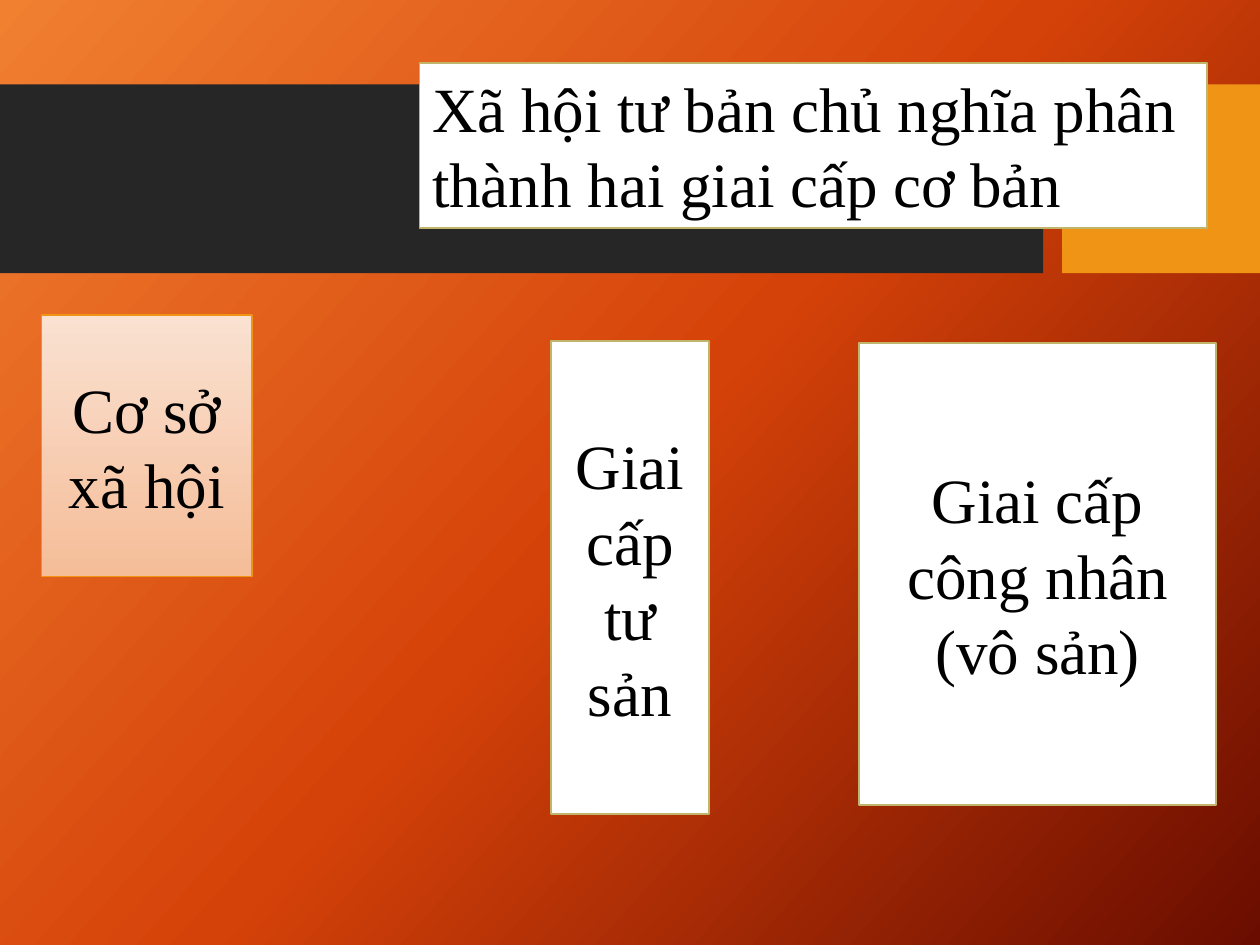
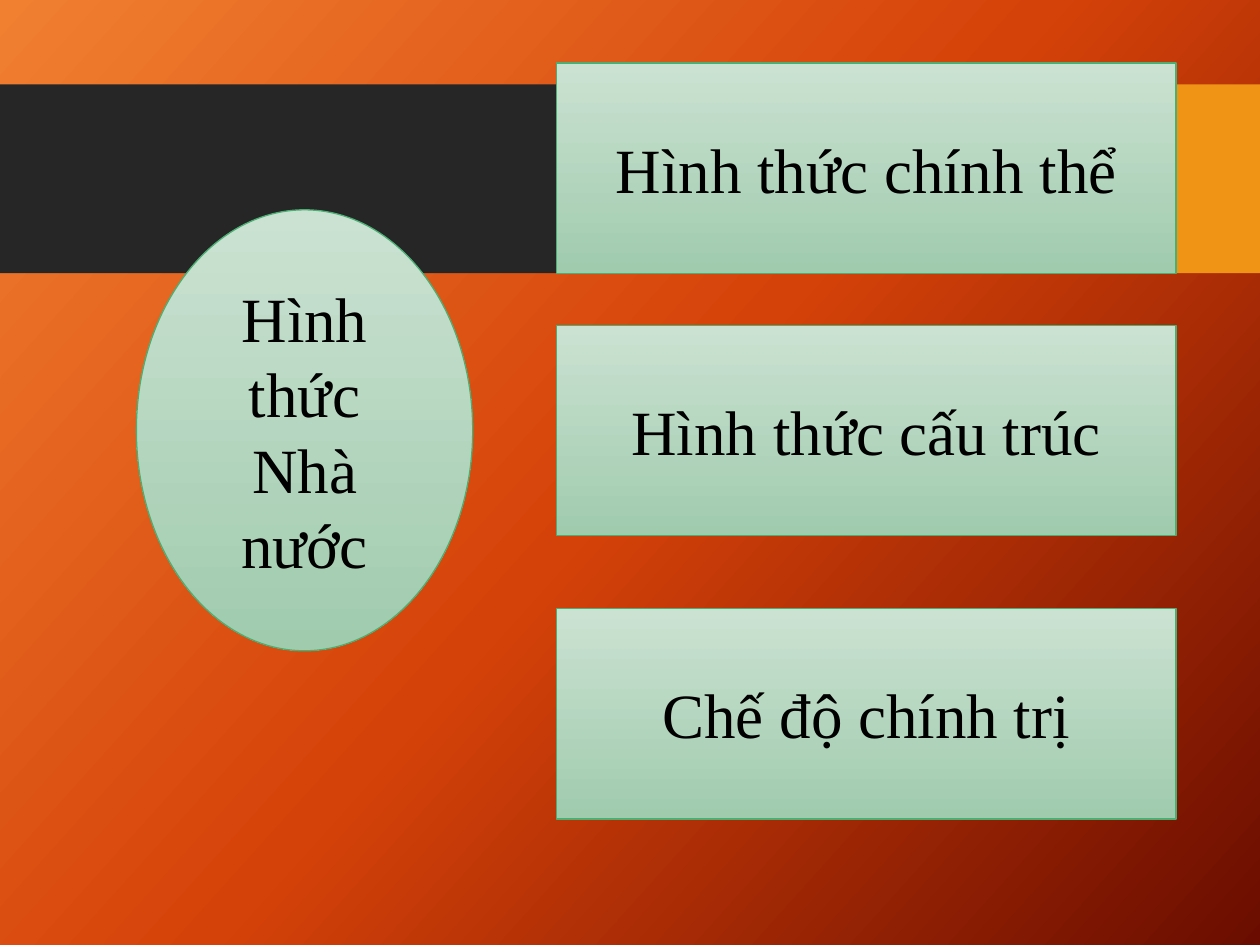
from collections import namedtuple
from copy import deepcopy

from pptx import Presentation
from pptx.dml.color import RGBColor
from pptx.enum.shapes import MSO_SHAPE as Preset
from pptx.enum.text import MSO_ANCHOR as Anchor, MSO_AUTO_SIZE as AutoSize, PP_ALIGN as Align
from pptx.oxml.ns import qn
from pptx.util import Cm, Pt

Box = namedtuple("Box", "left top width height")
Look = namedtuple("Look", "fills line weight")

PAGE = Box(0, 0, 25.4, 19.05)
BACKGROUND = ["F18031", "D54209", "6A0D00"]
DARK, ORANGE, BLACK = "262626", "F09415", "000000"
PEACH = Look(["FAE1D1", "F5BD98"], ORANGE, 0.75)
WHITE = Look(["FFFFFF"], "C1B56B", 1)
GREEN = Look(["CBE2D2", "A0CBAD"], "4BAF73", 0.75)
FONT, TEXT_SIZE = "Times New Roman", 36


def color(hex_code):
    return RGBColor.from_string(hex_code)


def inside(region, left, top, width, height):
    return Box(region.left + left, region.top + top, width, height)


def paint(owner, fill, colors, angle=90):
    if len(colors) == 1:
        fill.solid()
        fill.fore_color.rgb = color(colors[0])
        return
    fill.gradient()
    fill.gradient_angle = 360 - angle
    stop_list = next(owner.element.iter(qn("a:gsLst")))
    for _ in colors[2:]:
        stop_list.append(deepcopy(stop_list[0]))
    for index, (stop, hex_code) in enumerate(zip(fill.gradient_stops, colors)):
        stop.position = index / (len(colors) - 1)
        stop.color.rgb = color(hex_code)


def add_panel(slide, box, look, preset=Preset.RECTANGLE):
    panel = slide.shapes.add_shape(preset, *map(Cm, box))
    panel.shadow.inherit = False
    paint(panel, panel.fill, look.fills)
    if look.line:
        panel.line.color.rgb = color(look.line)
        panel.line.width = Pt(look.weight)
    else:
        panel.line.fill.background()
    return panel


def add_label(slide, box, wording, look, preset=Preset.RECTANGLE,
              align=Align.CENTER, anchor=Anchor.MIDDLE):
    label = add_panel(slide, box, look, preset)
    frame = label.text_frame
    frame.word_wrap = True
    frame.vertical_anchor = anchor
    paragraph = frame.paragraphs[0]
    paragraph.text = wording
    paragraph.alignment = align
    paragraph.font.name = FONT
    paragraph.font.size = Pt(TEXT_SIZE)
    paragraph.font.color.rgb = color(BLACK)
    return label


def add_bands(slide, region):
    dark_width, gap = 21.03, 0.38
    orange_left = dark_width + gap
    add_panel(slide, inside(region, 0, 0, dark_width, region.height), Look([DARK], None, 0))
    add_panel(slide, inside(region, orange_left, 0, region.width - orange_left, region.height),
              Look([ORANGE], None, 0))


def add_page(deck):
    slide = deck.slides.add_slide(deck.slide_layouts[6])
    paint(slide, slide.background.fill, BACKGROUND, 42)
    add_bands(slide, Box(0, 1.7, PAGE.width, 3.81))
    return slide


def add_heading(slide, region, wording):
    heading = add_label(slide, region, wording, WHITE, align=Align.LEFT, anchor=Anchor.TOP)
    heading.text_frame.auto_size = AutoSize.SHAPE_TO_FIT_TEXT


def add_social_classes(slide, region):
    add_label(slide, inside(region, 0, 0, 4.24, 5.28), "Cơ sở xã hội", PEACH)
    add_label(slide, inside(region, 10.27, 0.53, 3.18, 9.53), "Giai cấp tư sản", WHITE)
    add_label(slide, inside(region, 16.48, 0.56, 7.2, 9.32), "Giai cấp công nhân (vô sản)", WHITE)


def add_state_forms(slide, region):
    add_label(slide, inside(region, 0, 2.96, 6.78, 8.89), "Hình thức Nhà nước", GREEN, Preset.OVAL)
    forms = {"Hình thức chính thể": 0, "Hình thức cấu trúc": 5.29, "Chế độ chính trị": 11}
    form_left = 8.47
    for wording, top in forms.items():
        add_label(slide, inside(region, form_left, top, region.width - form_left, 4.24), wording, GREEN)


def main():
    deck = Presentation()
    deck.slide_width, deck.slide_height = Cm(PAGE.width), Cm(PAGE.height)

    classes = add_page(deck)
    add_social_classes(classes, Box(0.84, 6.35, 23.68, 10.06))
    add_heading(classes, Box(8.46, 1.27, 15.88, 3.33),
                "Xã hội tư bản chủ nghĩa phân thành hai giai cấp cơ bản")

    forms = add_page(deck)
    add_state_forms(forms, Box(2.75, 1.27, 20.96, 15.24))

    deck.save("out.pptx")


if __name__ == "__main__":
    main()
